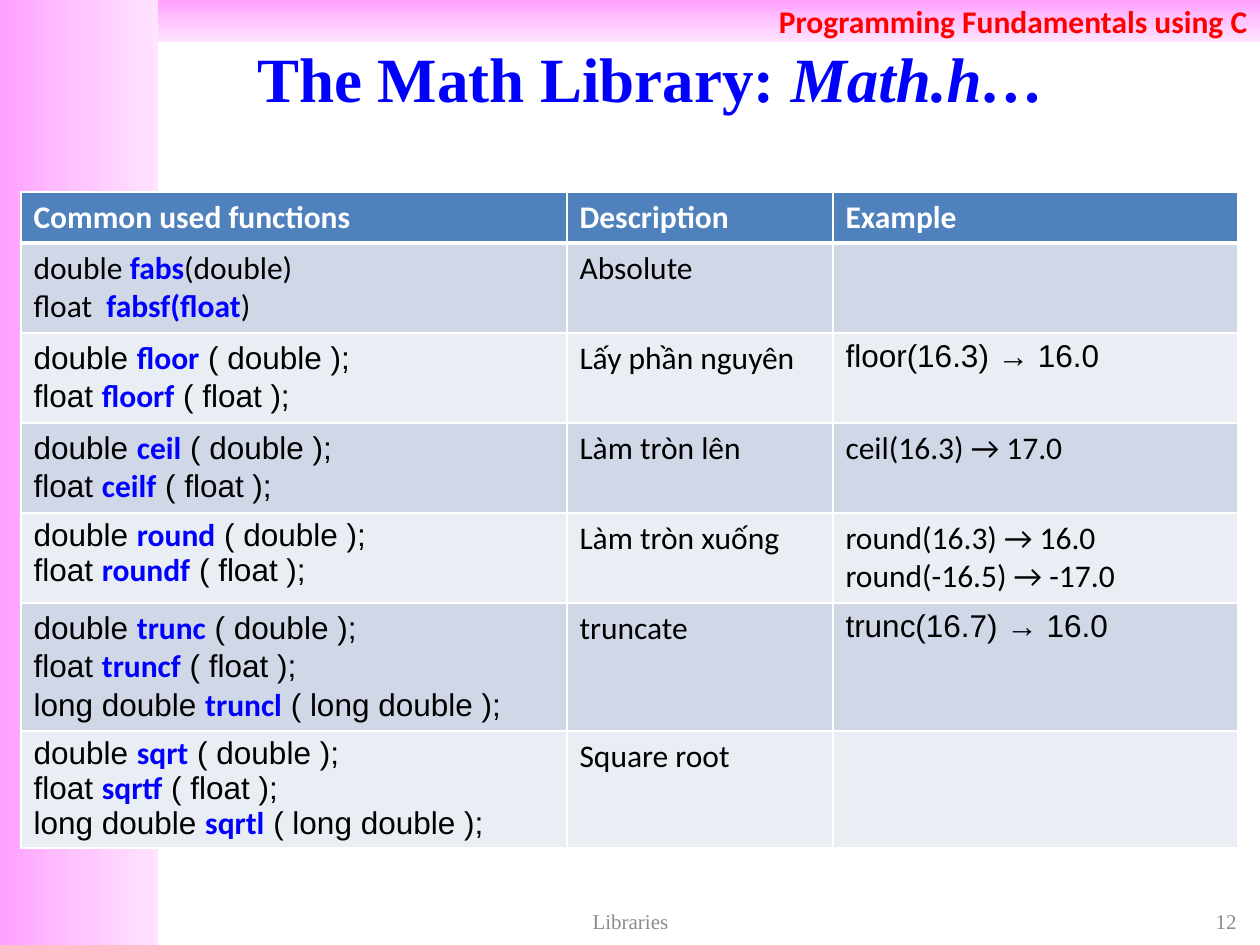
from copy import deepcopy
from lxml.etree import SubElement as Sub
from pptx import Presentation
from pptx.dml.color import RGBColor as Rgb
from pptx.enum.shapes import MSO_SHAPE as Kind
from pptx.enum.text import MSO_ANCHOR as Anchor, PP_ALIGN as Align
from pptx.oxml.ns import qn
from pptx.util import Pt

SERIF, SANS, ARIAL = "Times New Roman", "Calibri", "Arial"
BLUE, WHITE, BLACK, GREY = "0000FF", "FFFFFF", "000000", "8C8C8C"
HEAD, BANDS = "4F81BD", ("D0D8E8", "E9EDF4")
FADE = ((0, "FFA0FF"), (0.5, "FFC5FF"), (1, "FFE3FF"))
NAME = {"name": SANS, "bold": True, "color": BLUE}
COLS = (546, 266, 405)
ROWS = (51, 90, 90, 90, 90, 128, 117)


def px(n):
    return round(n * 914400 / 126)


def hue(code):
    return Rgb.from_string(code)


def style(font, form):
    for key, val in form.items():
        if key == "color":
            font.color.rgb = hue(val)
        else:
            setattr(font, key, Pt(val) if key == "size" else val)


def write(frame, lines, base, **layout):
    for i, line in enumerate(lines):
        para = frame.paragraphs[0] if i == 0 else frame.add_paragraph()
        for key, val in layout.items():
            setattr(para, key, val)
        for text, form in line:
            run = para.add_run()
            run.text = text
            style(run.font, {**base, **form})


def plain(*lines):
    return [[(line, {})] for line in lines]


def protos(name, count):
    kinds = zip(("double", "float", "long double"), ("", "f", "l"))
    return [[(kind + " ", {}), (name + end, NAME), (f" ( {kind} );", {})]
            for kind, end in list(kinds)[:count]]


def band(slide, box, angle):
    shape = slide.shapes.add_shape(Kind.RECTANGLE, *map(px, box))
    shape.shadow.inherit = False
    shape.line.fill.background()
    fill = shape.fill
    fill.gradient()
    fill.gradient_angle = angle
    stops = shape._element.spPr.find(".//" + qn("a:gsLst"))
    stops.insert(1, deepcopy(stops[0]))
    for stop, (pos, code) in zip(fill.gradient_stops, FADE):
        stop.position = pos
        stop.color.rgb = hue(code)
    return shape


def title(slide):
    shape = slide.shapes.title
    for key, val in zip(("left", "top", "width", "height"), (105, 38, 1092, 78)):
        setattr(shape, key, px(val))
    shape.text_frame.vertical_anchor = Anchor.MIDDLE
    line = [("The Math Library: ", {}), ("Math.h…", {"italic": True})]
    base = {"name": SERIF, "size": 36, "bold": True, "color": BLUE}
    write(shape.text_frame, [line], base, alignment=Align.CENTER)


def note(slide, box, text, align):
    frame = slide.shapes.add_textbox(*map(px, box)).text_frame
    frame.word_wrap = True
    frame.vertical_anchor = Anchor.MIDDLE
    base = {"name": SERIF, "size": 12, "color": GREY}
    write(frame, plain(text), base, alignment=align)


def paint(cell, code, row):
    props = cell._tc.get_or_add_tcPr()
    wide = {"lnT": row == 1, "lnB": row == 0}
    for side in ("lnL", "lnR", "lnT", "lnB"):
        line = Sub(props, qn("a:" + side), w=str(Pt(3 if wide.get(side) else 1)))
        Sub(Sub(line, qn("a:solidFill")), qn("a:srgbClr"), val=WHITE)
    cell.fill.solid()
    cell.fill.fore_color.rgb = hue(code)


def grid(slide, data):
    box = map(px, (21, 192, sum(COLS), sum(ROWS)))
    table = slide.shapes.add_table(len(ROWS), len(COLS), *box).table
    table.horz_banding = False
    for col, width in zip(table.columns, COLS):
        col.width = px(width)
    for r, (height, items) in enumerate(zip(ROWS, data)):
        table.rows[r].height = px(height)
        for c, (lines, face, gap) in enumerate(items):
            cell = table.cell(r, c)
            paint(cell, BANDS[(r - 1) % 2] if r else HEAD, r)
            base = {"name": face, "size": 18, "bold": r == 0,
                    "color": BLACK if r else WHITE}
            write(cell.text_frame, lines, base, line_spacing=gap)


def text(*lines, face=SANS):
    return plain(*lines), face, 1.0


def code(name, count=2, gap=1.0):
    return protos(name, count), ARIAL, gap


def main():
    deck = Presentation()
    deck.slide_width, deck.slide_height = px(1260), px(945)
    slide = deck.slides.add_slide(deck.slide_layouts[5])
    band(slide, (0, 0, 158, 945), 0)
    top = band(slide, (158, 0, 1102, 42), 270)
    top.text_frame.vertical_anchor = Anchor.MIDDLE
    base = {"name": SANS, "size": 18, "bold": True, "color": "FF0000"}
    write(top.text_frame, plain("Programming Fundamentals using C"), base,
          alignment=Align.RIGHT)
    title(slide)
    note(slide, (955, 904, 294, 34), "12", Align.RIGHT)
    note(slide, (431, 904, 399, 34), "Libraries", Align.CENTER)
    fabs = [[("double ", {}), ("fabs", NAME), ("(double)", {})],
            [("float  ", {}), ("fabsf(float", NAME), (")", {})]]
    grid(slide, (
        (text("Common used functions"), text("Description"), text("Example")),
        ((fabs, SANS, 1.0), text("Absolute"), text()),
        (code("floor"), text("Lấy phần nguyên"),
         text("floor(16.3) → 16.0", face=ARIAL)),
        (code("ceil"), text("Làm tròn lên"), text("ceil(16.3) → 17.0")),
        (code("round", gap=0.9), text("Làm tròn xuống"),
         text("round(16.3) → 16.0", "round(-16.5) → -17.0")),
        (code("trunc", 3), text("truncate"),
         text("trunc(16.7) → 16.0", face=ARIAL)),
        (code("sqrt", 3, 0.9), text("Square root"), text()),
    ))
    deck.save("out.pptx")


if __name__ == "__main__":
    main()
